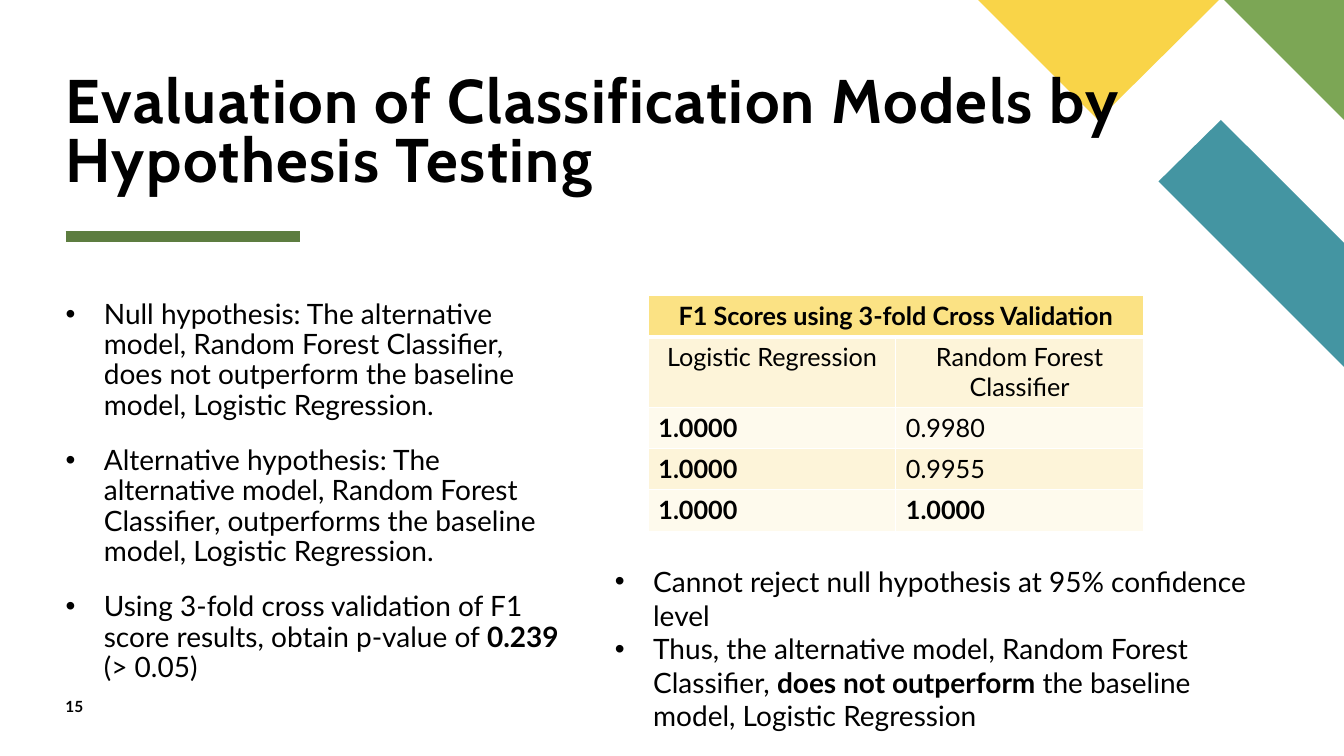
from lxml.etree import SubElement
from pptx import Presentation
from pptx.dml.color import RGBColor
from pptx.enum.shapes import MSO_CONNECTOR
from pptx.enum.text import MSO_ANCHOR, MSO_AUTO_SIZE, PP_ALIGN
from pptx.oxml.ns import qn
from pptx.util import Inches, Pt

COLORS = {
    "text": "000000", "white": "FFFFFF", "teal": "4495A2", "green": "7CA655",
    "yellow": "F9D448", "rule": "5D7D40", "header": "FBE284",
    "band": "FDF4D9", "light": "FEFAED",
}
HYPOTHESES = [
    [("Null hypothesis: The alternative model, Random Forest Classifier, "
      "does not outperform the baseline model, Logistic Regression.", False)],
    [("Alternative hypothesis: The alternative model, Random Forest Classifier, "
      "outperforms the baseline model, Logistic Regression.", False)],
    [("Using 3-fold cross validation of F1 score results, obtain p-value of ", False),
     ("0.239", True), (" (> 0.05)", False)],
]
CONCLUSIONS = [
    [("Cannot reject null hypothesis at 95% confidence level", False)],
    [("Thus, the alternative model, Random Forest Classifier, ", False),
     ("does not outperform ", True),
     ("the baseline model, Logistic Regression", False)],
]
SCORES = [
    [("F1 Scores using 3-fold Cross Validation", True)],
    [("Logistic Regression", False), ("Random Forest Classifier", False)],
    [("1.0000", True), ("0.9980", False)],
    [("1.0000", True), ("0.9955", False)],
    [("1.0000", True), ("1.0000", True)],
]
ROW_FILLS = ["header", "band", "light", "band", "light"]


def color(name):
    return RGBColor.from_string(COLORS[name])


def add_run(paragraph, text, size, bold=False, font="Lato"):
    run = paragraph.add_run()
    run.text = text
    run.font.size = Pt(size)
    run.font.bold = bold
    run.font.name = font
    run.font.color.rgb = color("text")
    return run


def set_margins(frame, left, top, right, bottom):
    frame.margin_left, frame.margin_top = Inches(left), Inches(top)
    frame.margin_right, frame.margin_bottom = Inches(right), Inches(bottom)


def add_frame(slide, box):
    frame = slide.shapes.add_textbox(*map(Inches, box)).text_frame
    frame.word_wrap = True
    return frame


def add_corner(slide, box):
    left, top, width, height = box
    right = left + width
    bands = [
        ("teal", [(right, 3.64), (right, 2.41), (right - 1.22, 1.19), (right - 1.84, 1.8)]),
        ("green", [(right, 1.19), (right, top), (right - 1.19, top)]),
        ("yellow", [(left, top), (left + 1.19, 1.19), (left + 2.39, top)]),
    ]
    for name, points in bands:
        corners = [(Inches(x), Inches(y)) for x, y in points]
        builder = slide.shapes.build_freeform(*corners[0])
        builder.add_line_segments(corners[1:], close=True)
        band = builder.convert_to_shape()
        band.shadow.inherit = False
        band.fill.solid()
        band.fill.fore_color.rgb = color(name)
        band.line.fill.background()


def add_heading(slide, box):
    left, top, width, height = box
    title = slide.shapes.title
    title.left, title.top, title.width, title.height = map(Inches, box)
    slide.shapes._spTree.append(title._element)
    frame = title.text_frame
    frame.word_wrap = True
    frame.auto_size = MSO_AUTO_SIZE.NONE
    frame.vertical_anchor = MSO_ANCHOR.BOTTOM
    set_margins(frame, 0, 0, 0, 0)
    paragraph = frame.paragraphs[0]
    paragraph.alignment = PP_ALIGN.LEFT
    paragraph.line_spacing = 0.8
    run = add_run(paragraph, "Evaluation of Classification Models by Hypothesis Testing",
                  44, True, "Cabin")
    run.font._element.set("spc", "100")

    rule_y = Inches(top + height + 0.42)
    rule = slide.shapes.add_connector(
        MSO_CONNECTOR.STRAIGHT, Inches(left), rule_y, Inches(left + 2.33), rule_y)
    rule.line.color.rgb = color("rule")
    rule.line.width = Pt(8)
    SubElement(rule._element.spPr, qn("a:effectLst"))


def add_bullets(slide, box, items, margins, line_spacing=1.0, space_before=0):
    frame = add_frame(slide, box)
    set_margins(frame, *margins)
    for index, item in enumerate(items):
        paragraph = frame.add_paragraph() if index else frame.paragraphs[0]
        paragraph.line_spacing = line_spacing
        paragraph.space_before = Pt(space_before)
        properties = paragraph._p.get_or_add_pPr()
        properties.set("marL", str(Inches(0.38)))
        properties.set("indent", str(-Inches(0.38)))
        SubElement(properties, qn("a:buFont"), typeface="Arial")
        SubElement(properties, qn("a:buChar"), char="•")
        for text, bold in item:
            add_run(paragraph, text, 20, bold)


def set_borders(cell, bottom_width):
    properties = cell._tc.get_or_add_tcPr()
    widths = [("lnL", 1), ("lnR", 1), ("lnT", 1), ("lnB", bottom_width)]
    for index, (side, width) in enumerate(widths):
        border = SubElement(properties, qn(f"a:{side}"), w=str(Pt(width)))
        fill = SubElement(border, qn("a:solidFill"))
        SubElement(fill, qn("a:srgbClr"), val=COLORS["white"])
        properties.insert(index, border)


def add_scores(slide, box):
    table = slide.shapes.add_table(len(SCORES), 2, *map(Inches, box)).table
    for row in table.rows:
        row.height = Inches(0.41)
    table.cell(0, 0).merge(table.cell(0, 1))
    for row, (values, fill) in enumerate(zip(SCORES, ROW_FILLS)):
        for column in range(2):
            cell = table.cell(row, column)
            cell.fill.solid()
            cell.fill.fore_color.rgb = color(fill)
            set_borders(cell, 1 if row else 3)
        for column, (text, bold) in enumerate(values):
            paragraph = table.cell(row, column).text_frame.paragraphs[0]
            paragraph.alignment = PP_ALIGN.CENTER if row < 2 else PP_ALIGN.LEFT
            add_run(paragraph, text, 18, bold)


def add_page_number(slide, box):
    frame = add_frame(slide, box)
    set_margins(frame, 0, 0, 0, 0)
    add_run(frame.paragraphs[0], "15", 11, True)


def main():
    deck = Presentation()
    deck.slide_width, deck.slide_height = Inches(13.33), Inches(7.5)
    slide = deck.slides.add_slide(deck.slide_layouts[5])
    add_corner(slide, (9.7, 0, 3.63, 3.64))
    add_heading(slide, (0.65, 0.3, 10.69, 1.63))
    add_bullets(slide, (0.65, 2.93, 4.91, 3.93), HYPOTHESES, (0, 0.05, 0, 0), 0.9, 18)
    add_scores(slide, (6.43, 2.93, 4.91, 2.05))
    add_page_number(slide, (0.65, 6.92, 0.57, 0.27))
    add_bullets(slide, (6, 5.55, 6.67, 1.78), CONCLUSIONS, (0.1, 0.05, 0.1, 0.05))
    deck.save("out.pptx")


if __name__ == "__main__":
    main()
